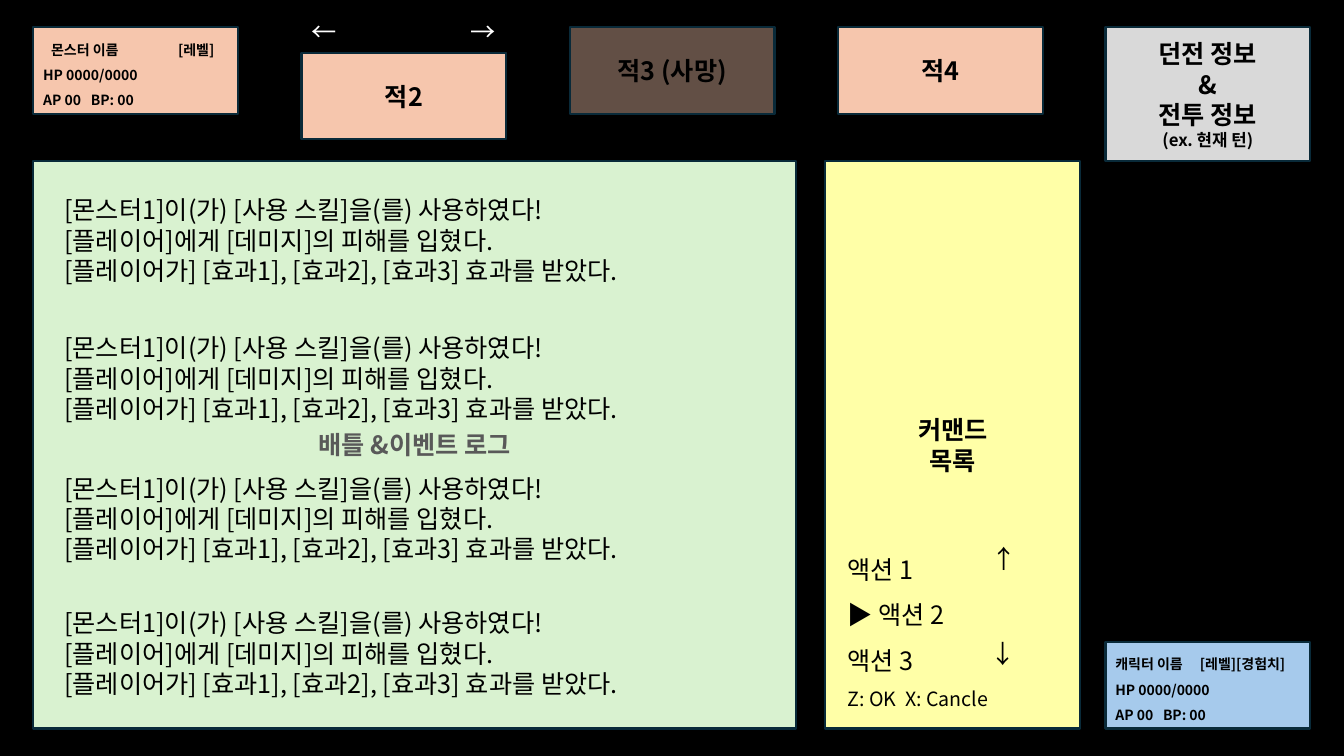
"""Build the battle screen layout slide."""
from lxml.etree import SubElement
from pptx import Presentation
from pptx.dml.color import RGBColor
from pptx.enum.shapes import MSO_SHAPE as Preset
from pptx.enum.text import MSO_ANCHOR as Anchor, MSO_AUTO_SIZE as AutoSize, PP_ALIGN as Align
from pptx.oxml.ns import qn
from pptx.util import Cm, Pt

FONT = "Noto Sans CJK KR"
COLOURS = {
    "black": "000000", "white": "FFFFFF", "outline": "092A39", "enemy": "F6C6AD",
    "player": "A6CAEC", "log": "D9F2D0", "log_title": "595959", "command": "FFFFA7",
    "info": "D9D9D9",
}
STATS = [("HP 0000/0000", {}), ("AP 00\tBP: 00", {"tabs": [1.2]})]
MONSTER = [("\t몬스터 이름\t[레벨]", {"tabs": [0.2, 3.4]}), *STATS]
PLAYER = [("캐릭터 이름\t[레벨][경험치]", {"tabs": [2.13]}), *STATS]
ENEMIES = [
    (MONSTER, 0, {"size": 10, "bold": True, "spacing": 1.5, "align": Align.LEFT}, 100),
    (["적2"], 0.64, {}, 100),
    (["적3 (사망)"], 0, {}, 40),
    (["적4"], 0, {}, 100),
]
INFO = ["던전 정보", "&", "전투 정보", ("(ex. 현재 턴)", {"size": 12})]
COMMAND = ["커맨드", "목록"]
ACTIONS = ["액션 1", "▶ 액션 2", "액션 3", ("Z: OK\tX: Cancle", {"size": 14, "tabs": [1.45]})]
ARROWS = [
    ("←", 7.59, 0.28, "white"), ("→", 11.61, 0.28, "white"),
    ("↑", 24.74, 13.56, "black"), ("↓", 24.71, 15.95, "black"),
]
LOG_TITLE = ["배틀 &이벤트 로그"]
LOG = [
    "[몬스터1]이(가) [사용 스킬]을(를) 사용하였다!",
    "[플레이어]에게 [데미지]의 피해를 입혔다.",
    "[플레이어가] [효과1], [효과2], [효과3] 효과를 받았다.",
]
LOG_TOPS = [4.78, 8.26, 11.79, 15.19]

LEFT, TOP, RIGHT_COLUMN = 0.84, 0.69, 27.86
CARD_WIDTH, CARD_HEIGHT, CARD_STEP = 5.16, 2.18, 6.76
PANEL_TOP, PANEL_HEIGHT = 4.06, 14.3
PANEL_BOTTOM = PANEL_TOP + PANEL_HEIGHT


def colour(name):
    """Return the named colour."""
    return RGBColor.from_string(COLOURS[name])


def add_line(paragraph, text, size=18, bold=False, ink="black", align=Align.LEFT,
             spacing=None, tabs=()):
    """Write one formatted line into a paragraph."""
    paragraph.alignment = align
    if spacing:
        paragraph.line_spacing = spacing
    if tabs:
        tab_list = SubElement(paragraph._p.get_or_add_pPr(), qn("a:tabLst"))
        for position in tabs:
            SubElement(tab_list, qn("a:tab"), pos=str(Cm(position)), algn="l")
    run = paragraph.add_run()
    run.text = text
    run.font.name, run.font.size, run.font.bold = FONT, Pt(size), bold
    run.font.color.rgb = colour(ink)
    SubElement(run._r.get_or_add_rPr(), qn("a:ea"), typeface=FONT)


def write(frame, lines, **style):
    """Fill a text frame with lines, each plain or with its own format."""
    for index, line in enumerate(lines):
        text, extra = (line, {}) if isinstance(line, str) else line
        paragraph = frame.add_paragraph() if index else frame.paragraphs[0]
        add_line(paragraph, text, **{**style, **extra})


def add_box(slide, lines, left, top, width, height, fill, opacity=100, **style):
    """Add an outlined rectangle with text."""
    shape = slide.shapes.add_shape(Preset.RECTANGLE, Cm(left), Cm(top), Cm(width), Cm(height))
    shape.shadow.inherit = False
    shape.fill.solid()
    shape.fill.fore_color.rgb = colour(fill)
    if opacity < 100:
        fill_colour = shape._element.spPr.find(qn("a:solidFill"))[0]
        SubElement(fill_colour, qn("a:alpha"), val=str(opacity * 1000))
    shape.line.color.rgb = colour("outline")
    shape.line.width = Pt(1.5)
    shape.text_frame.word_wrap = True
    shape.text_frame.vertical_anchor = Anchor.MIDDLE
    write(shape.text_frame, lines, **{"bold": True, "align": Align.CENTER, **style})


def add_text(slide, lines, left, top, width, height, wrap=False, **style):
    """Add a free text box."""
    frame = slide.shapes.add_textbox(Cm(left), Cm(top), Cm(width), Cm(height)).text_frame
    frame.word_wrap = wrap
    frame.auto_size = AutoSize.SHAPE_TO_FIT_TEXT
    write(frame, lines, **style)


def main():
    """Compose the slide and save it."""
    presentation = Presentation()
    presentation.slide_width, presentation.slide_height = Cm(33.87), Cm(19.05)
    slide = presentation.slides.add_slide(presentation.slide_layouts[6])
    slide.background.fill.solid()
    slide.background.fill.fore_color.rgb = colour("black")

    for column, (lines, drop, style, opacity) in enumerate(ENEMIES):
        add_box(slide, lines, LEFT + column * CARD_STEP, TOP + drop, CARD_WIDTH, CARD_HEIGHT,
                "enemy", opacity, **style)
    add_box(slide, INFO, RIGHT_COLUMN, TOP, CARD_WIDTH, PANEL_TOP - TOP, "info")
    add_box(slide, PLAYER, RIGHT_COLUMN, PANEL_BOTTOM - CARD_HEIGHT, CARD_WIDTH, CARD_HEIGHT,
            "player", size=10, spacing=1.5, align=Align.LEFT)
    add_box(slide, LOG_TITLE, LEFT, PANEL_TOP, 19.23, PANEL_HEIGHT, "log", ink="log_title")
    add_box(slide, COMMAND, 20.8, PANEL_TOP, 6.43, PANEL_HEIGHT, "command")

    add_text(slide, ACTIONS, 21.11, 13.46, 4.19, 4.5, spacing=1.5)
    for arrow, left, top, ink in ARROWS:
        add_text(slide, [arrow], left, top, 1.14, 1.02, ink=ink)
    for top in LOG_TOPS:
        add_text(slide, LOG, 1.37, top, 15.47, 2.57, wrap=True)

    presentation.save("out.pptx")


if __name__ == "__main__":
    main()
